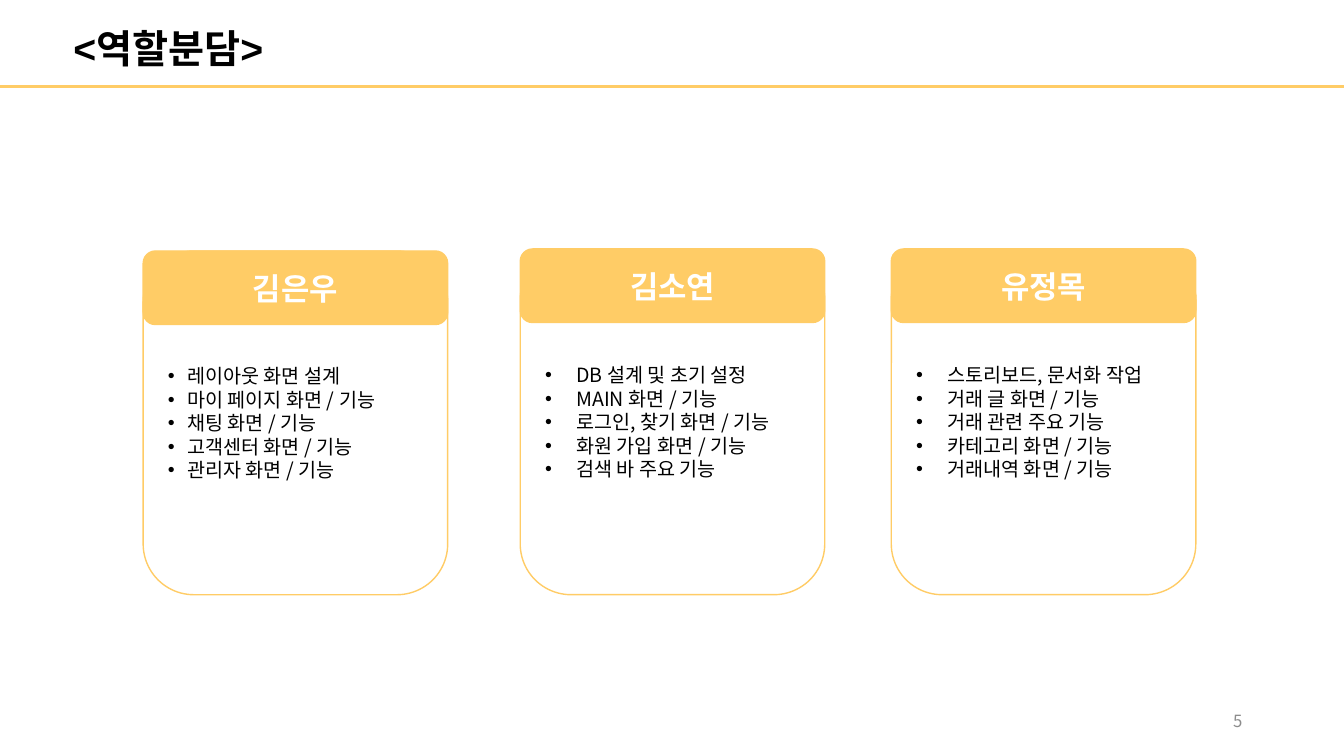
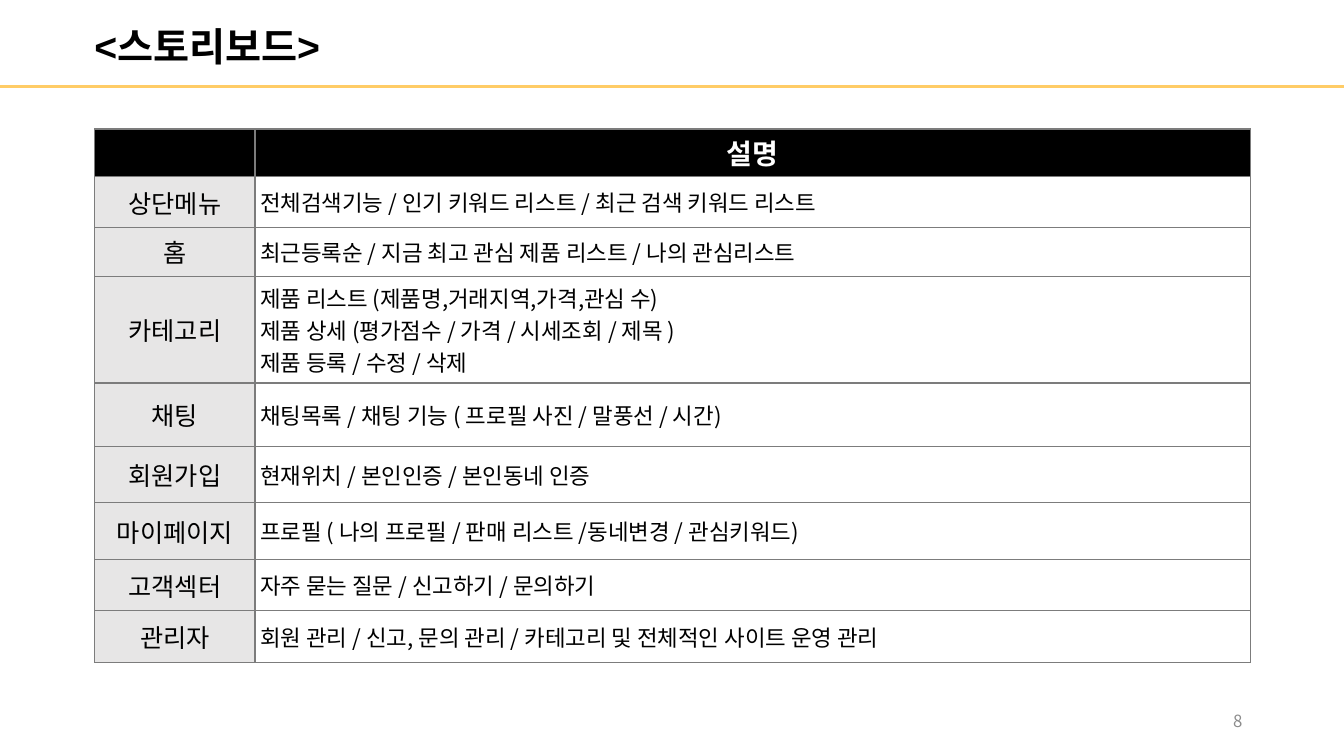
from pptx import Presentation
from pptx.dml.color import RGBColor
from pptx.enum.shapes import MSO_CONNECTOR, MSO_SHAPE
from pptx.enum.text import MSO_ANCHOR, PP_ALIGN
from pptx.oxml.ns import qn
from pptx.util import Inches, Pt
from lxml.etree import SubElement

# Shared style
AMBER = RGBColor(0xFF, 0xCC, 0x66)
BLACK = RGBColor(0x00, 0x00, 0x00)
WHITE = RGBColor(0xFF, 0xFF, 0xFF)
LABEL_GRAY = RGBColor(0xE7, 0xE6, 0xE6)
BORDER_GRAY = RGBColor(0x7C, 0x7C, 0x7C)
NUMBER_GRAY = RGBColor(0x8C, 0x8C, 0x8C)
TITLE_FONT = "Arial"
BODY_FONT = "Noto Sans CJK KR"
SLIDE_WIDTH, SLIDE_HEIGHT = 13.33, 7.5

# Role cards: name, left, top, bullet indent, tasks
CARD_WIDTH, CARD_BOTTOM, CARD_HEADER_HEIGHT = 3.02, 5.9, 0.73
CARDS = [
    ("김은우", 1.42, 2.49, 0.19, [
        "레이아웃 화면 설계", "마이 페이지 화면 / 기능", "채팅 화면 / 기능",
        "고객센터 화면 / 기능", "관리자 화면 / 기능"]),
    ("김소연", 5.16, 2.47, 0.31, [
        "DB 설계 및 초기 설정", "MAIN 화면 / 기능", "로그인, 찾기 화면 / 기능",
        "화원 가입 화면 / 기능", "검색 바 주요 기능"]),
    ("유정목", 8.84, 2.47, 0.31, [
        "스토리보드, 문서화 작업", "거래 글 화면 / 기능", "거래 관련 주요 기능",
        "카테고리 화면 / 기능", "거래내역 화면 / 기능"]),
]

# Storyboard table: row height, label, description
COLUMN_WIDTHS = (1.59, 9.87)
STORYBOARD = [
    (0.47, "", "설명"),
    (0.51, "상단메뉴", "전체검색기능 / 인기 키워드 리스트 / 최근 검색 키워드 리스트"),
    (0.48, "홈", "최근등록순 / 지금 최고 관심 제품 리스트 / 나의 관심리스트"),
    (1.06, "카테고리", "제품 리스트 (제품명,거래지역,가격,관심 수)\n"
                     "제품 상세 (평가점수 / 가격 / 시세조회 / 제목 )\n"
                     "제품 등록 / 수정 / 삭제"),
    (0.63, "채팅", "채팅목록 / 채팅 기능 ( 프로필 사진 / 말풍선 / 시간)"),
    (0.56, "회원가입", "현재위치 / 본인인증 / 본인동네 인증"),
    (0.56, "마이페이지", "프로필 ( 나의 프로필 / 판매 리스트 /동네변경 / 관심키워드)"),
    (0.51, "고객섹터", "자주 묻는 질문 / 신고하기 / 문의하기"),
    (0.51, "관리자", "회원 관리 / 신고, 문의 관리 / 카테고리 및 전체적인 사이트 운영 관리"),
]


def write_text(text_frame, text, size, color, bold=False,
               align=PP_ALIGN.LEFT, font_name=BODY_FONT):
    text_frame.text = text
    for paragraph in text_frame.paragraphs:
        paragraph.alignment = align
        for run in paragraph.runs:
            run.font.size = Pt(size)
            run.font.bold = bold
            run.font.name = font_name
            run.font.color.rgb = color
            east_asian = SubElement(run.font._element, qn("a:ea"))
            east_asian.set("typeface", BODY_FONT)


def add_bullets(text_frame, indent):
    for paragraph in text_frame.paragraphs:
        paragraph.line_spacing = Pt(16.8)
        properties = paragraph._p.get_or_add_pPr()
        properties.set("marL", str(Inches(indent)))
        properties.set("indent", str(-Inches(indent)))
        SubElement(properties, qn("a:buFont")).set("typeface", "Arial")
        SubElement(properties, qn("a:buChar")).set("char", "•")


def add_frame(presentation, title, title_box, number):
    """Add a slide with its title, rule and page number."""
    slide = presentation.slides.add_slide(presentation.slide_layouts[6])
    title_frame = slide.shapes.add_textbox(*map(Inches, title_box)).text_frame
    title_frame.word_wrap = False
    write_text(title_frame, title, 28, BLACK, True, PP_ALIGN.CENTER, TITLE_FONT)

    rule = slide.shapes.add_connector(
        MSO_CONNECTOR.STRAIGHT, 0, Inches(0.86), Inches(SLIDE_WIDTH), Inches(0.86))
    rule.line.color.rgb = AMBER
    rule.line.width = Pt(2.25)
    SubElement(rule._element.spPr, qn("a:effectLst"))

    number_frame = slide.shapes.add_textbox(
        Inches(9.42), Inches(6.95), Inches(3), Inches(0.4)).text_frame
    number_frame.word_wrap = True
    number_frame.vertical_anchor = MSO_ANCHOR.MIDDLE
    write_text(number_frame, str(number), 12, NUMBER_GRAY, align=PP_ALIGN.RIGHT)
    return slide


def add_panel(slide, left, top, height, fill):
    panel = slide.shapes.add_shape(
        MSO_SHAPE.ROUNDED_RECTANGLE,
        Inches(left), Inches(top), Inches(CARD_WIDTH), Inches(height))
    panel.shadow.inherit = False
    panel.fill.solid()
    panel.fill.fore_color.rgb = fill
    panel.line.color.rgb = AMBER
    panel.line.width = Pt(1)
    panel.text_frame.vertical_anchor = MSO_ANCHOR.MIDDLE
    return panel.text_frame


def add_card(slide, name, left, top, indent, tasks):
    body = add_panel(slide, left, top, CARD_BOTTOM - top, WHITE)
    write_text(body, "\n".join(tasks), 14, BLACK)
    add_bullets(body, indent)
    header = add_panel(slide, left, top, CARD_HEADER_HEIGHT, AMBER)
    write_text(header, name, 22, WHITE, True, PP_ALIGN.CENTER)


def style_cell(cell, fill):
    cell.vertical_anchor = MSO_ANCHOR.MIDDLE
    properties = cell._tc.get_or_add_tcPr()
    for side in ("a:lnL", "a:lnR", "a:lnT", "a:lnB"):
        border = SubElement(properties, qn(side), w=str(Pt(1)))
        color = SubElement(SubElement(border, qn("a:solidFill")), qn("a:srgbClr"))
        color.set("val", str(BORDER_GRAY))
    cell.fill.solid()
    cell.fill.fore_color.rgb = fill


def add_storyboard(slide):
    heights = [height for height, _, _ in STORYBOARD]
    table = slide.shapes.add_table(
        len(STORYBOARD), len(COLUMN_WIDTHS), Inches(0.94), Inches(1.28),
        Inches(sum(COLUMN_WIDTHS)), Inches(sum(heights))).table
    for column, width in zip(table.columns, COLUMN_WIDTHS):
        column.width = Inches(width)
    for index, (height, label, description) in enumerate(STORYBOARD):
        table.rows[index].height = Inches(height)
        label_cell, description_cell = table.cell(index, 0), table.cell(index, 1)
        if index == 0:
            for cell, text in ((label_cell, label), (description_cell, description)):
                style_cell(cell, BLACK)
                cell.margin_top = cell.margin_bottom = Inches(0.02)
                write_text(cell.text_frame, text, 20, WHITE, True, PP_ALIGN.CENTER)
            continue
        style_cell(label_cell, LABEL_GRAY)
        write_text(label_cell.text_frame, label, 18, BLACK, align=PP_ALIGN.CENTER)
        style_cell(description_cell, WHITE)
        description_cell.margin_left = Inches(0.05)
        description_cell.margin_right = 0
        description_cell.margin_top = description_cell.margin_bottom = 0
        write_text(description_cell.text_frame, description, 16, BLACK)


def main():
    presentation = Presentation()
    presentation.slide_width = Inches(SLIDE_WIDTH)
    presentation.slide_height = Inches(SLIDE_HEIGHT)

    # Roles
    roles = add_frame(presentation, "<역할분담>", (0.5, 0.19, 2.34, 0.57), 5)
    for card in CARDS:
        add_card(roles, *card)

    # Storyboard
    storyboard = add_frame(presentation, "<스토리보드>", (0.69, 0.17, 2.73, 0.57), 8)
    add_storyboard(storyboard)

    presentation.save("out.pptx")


if __name__ == "__main__":
    main()
